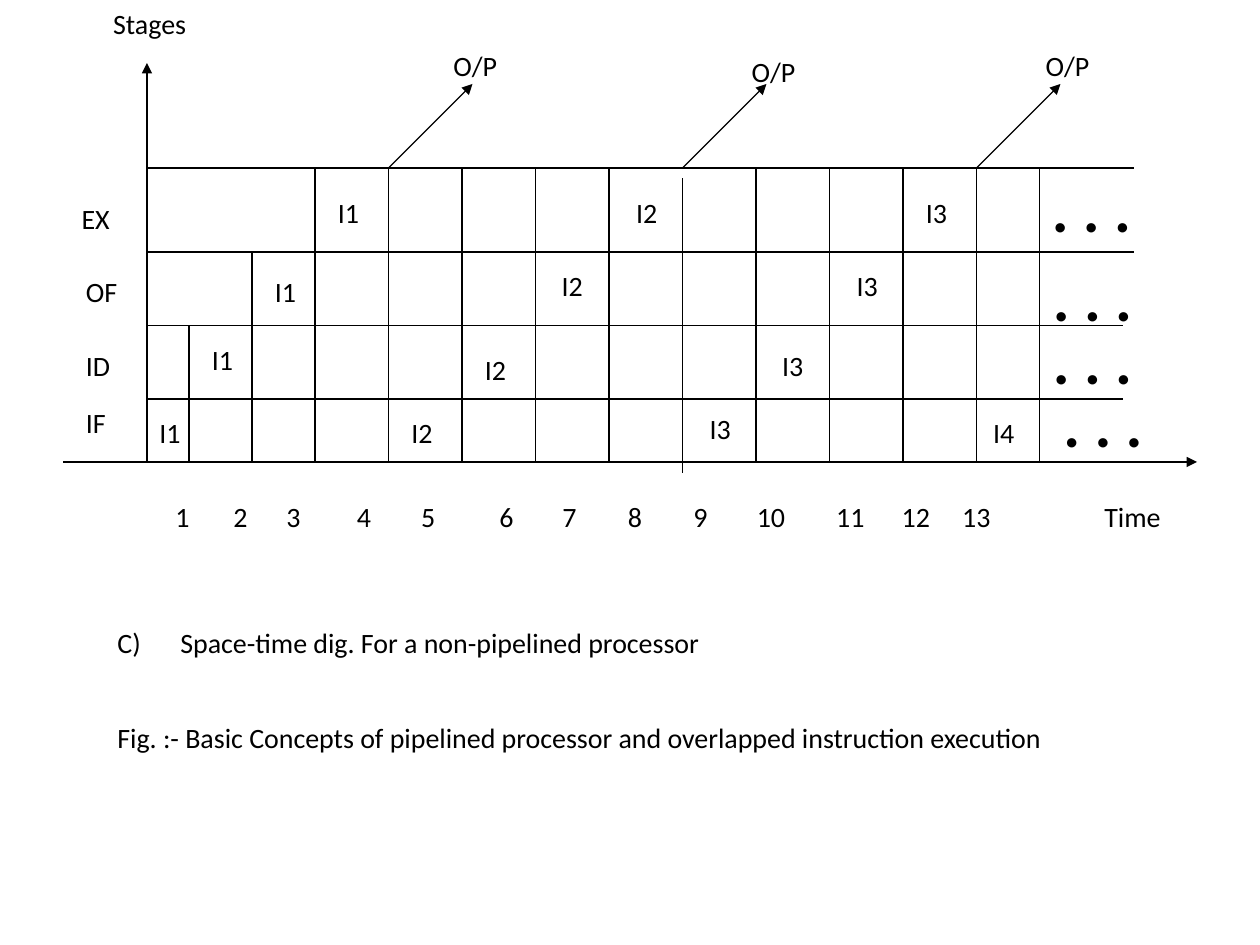
from dataclasses import dataclass

from lxml.etree import SubElement
from pptx import Presentation
from pptx.dml.color import RGBColor
from pptx.enum.text import MSO_ANCHOR
from pptx.oxml.ns import qn
from pptx.util import Inches, Pt


@dataclass(frozen=True)
class Theme:
    font: str = "Calibri"
    ink: RGBColor = RGBColor(0, 0, 0)
    body: int = 16
    dots: int = 36
    rule: float = 0.75


@dataclass(frozen=True)
class Box:
    """A region of the slide, in grid units."""
    x: float
    y: float
    w: float
    h: float


THEME = Theme()
COLS, ROWS = 120, 90
UNIT = Inches(10) / COLS
TEXT_H = 4.4

STAGES = [("EX", 2.6), ("OF", 1.6), ("ID", 1.6), ("IF", 0)]  # name, drop in row
ROW_TOPS = [0, 8, 15, 22, 28]
CELL_LEFTS = [0, 4, 10] + [16 + 7 * i for i in range(10)] + [85]
# Shift of each instruction label from the corner of its cell, by time step
LABEL_SHIFTS = [(0, 1), (1, 1), (1, 1.6), (1, 2), (1, 1), (1, 2), (1.3, 1),
                (1.4, 2), (1.4, 0.6), (1.3, 1.6), (1.4, 1), (1, 2), (0.4, 1)]
TICKS = [0.35, 0.81, 1.23, 1.79, 2.3, 2.92, 3.42, 3.94, 4.46, 5.02, 5.65, 6.17, 6.65]


def emu(units):
    return round(units * UNIT)


def add_text(slide, box, text, x, y, w, h=TEXT_H, size=THEME.body, bold=False, wrap=True):
    """Place text in a frame whose corner is relative to the box."""
    tb = slide.shapes.add_textbox(emu(box.x + x), emu(box.y + y), emu(w), emu(h))
    tf = tb.text_frame
    tf.word_wrap = wrap
    tf.vertical_anchor = MSO_ANCHOR.TOP
    tf.text = text
    for p in tf.paragraphs:
        for r in p.runs:
            r.font.name, r.font.size, r.font.bold = THEME.font, Pt(size), bold
            r.font.color.rgb = THEME.ink
    return tf


def add_line(slide, box, x1, y1, x2, y2, arrow=False):
    ends = (box.x + x1, box.y + y1, box.x + x2, box.y + y2)
    cn = slide.shapes.add_connector(1, *map(emu, ends))
    cn.line.color.rgb = THEME.ink
    cn.line.width = Pt(THEME.rule)
    if arrow:
        SubElement(cn.line._get_or_add_ln(), qn("a:tailEnd"), type="triangle")
    SubElement(cn._element.spPr, qn("a:effectLst"))


def draw_axes(slide, box):
    add_line(slide, box, 0, box.h, 0, -10, arrow=True)
    add_line(slide, box, -8, box.h, 100, box.h, arrow=True)
    add_text(slide, box, "Stages", -4.4, -16, 16)
    add_text(slide, box, "Time", 90, 31, 16)
    for (name, drop), top in zip(STAGES, ROW_TOPS):
        add_text(slide, box, name, -7.4 if name == "EX" else -7, top + drop, 6)

    tf = add_text(slide, box, "".join(f"\t{n}" for n in range(1, len(TICKS) + 1)), -2, 31, 93)
    tabs = SubElement(tf.paragraphs[0]._p.get_or_add_pPr(), qn("a:tabLst"))
    for pos in TICKS:
        SubElement(tabs, qn("a:tab"), pos=str(Inches(pos)), algn="ctr")


def draw_grid(slide, box):
    for top, right in zip(ROW_TOPS[:-1], (94, 94, 93, 93)):
        add_line(slide, box, 0, top, right, top)
    for i, x in enumerate(CELL_LEFTS[1:]):
        top = ROW_TOPS[max(2 - i, 0)]
        drop = 1 if x == 51 else 0
        add_line(slide, box, x, top + drop, x, box.h + drop)


def draw_instructions(slide, box):
    """Each instruction climbs one stage per time step, then the next one starts."""
    count = len(STAGES)
    for step, (dx, dy) in enumerate(LABEL_SHIFTS):
        top = ROW_TOPS[count - 1 - step % count]
        add_text(slide, box, f"I{step // count + 1}", CELL_LEFTS[step] + dx, top + dy,
                 4.7, wrap=False)
    for x, y in ((85, -0.4), (85.1, 8), (85.1, 14), (86.1, 20)):
        add_text(slide, box, ". . .", x, y, 10, 8.4, size=THEME.dots, bold=True, wrap=False)


def draw_outputs(slide, box):
    for x, dx, y in ((23, 5, -12), (51 + 7, -1.6 + 7 - 7 + 7, -11.4), (79, 5.4, -12)):
        start = 51 if x == 58 else x
        add_line(slide, box, start, 0, start + 8, -8, arrow=True)
        add_text(slide, box, "O/P", start + dx, y, 6.6, wrap=False)


def draw_captions(slide, box):
    tf = add_text(slide, box, "Space-time dig. For a non-pipelined processor\n"
                  "Fig. :- Basic Concepts of pipelined processor and overlapped "
                  "instruction execution", 0, 0, box.w, box.h)
    item, figure = tf.paragraphs
    for p in (item, figure):
        pPr = p._p.get_or_add_pPr()
        pPr.set("marL", str(Inches(0.5)))
        pPr.set("indent", str(-Inches(0.5)))
    SubElement(item._p.pPr, qn("a:buAutoNum"), type="alphaUcParenR", startAt="3")
    figure.space_before = Pt(35)


def main():
    prs = Presentation()
    prs.slide_width, prs.slide_height = emu(COLS), emu(ROWS)
    slide = prs.slides.add_slide(prs.slide_layouts[6])
    chart = Box(14, 16, 85, 28)
    for draw in (draw_axes, draw_grid, draw_outputs, draw_instructions):
        draw(slide, chart)
    draw_captions(slide, Box(10, 59, 95, 14))
    prs.save("out.pptx")


if __name__ == "__main__":
    main()
